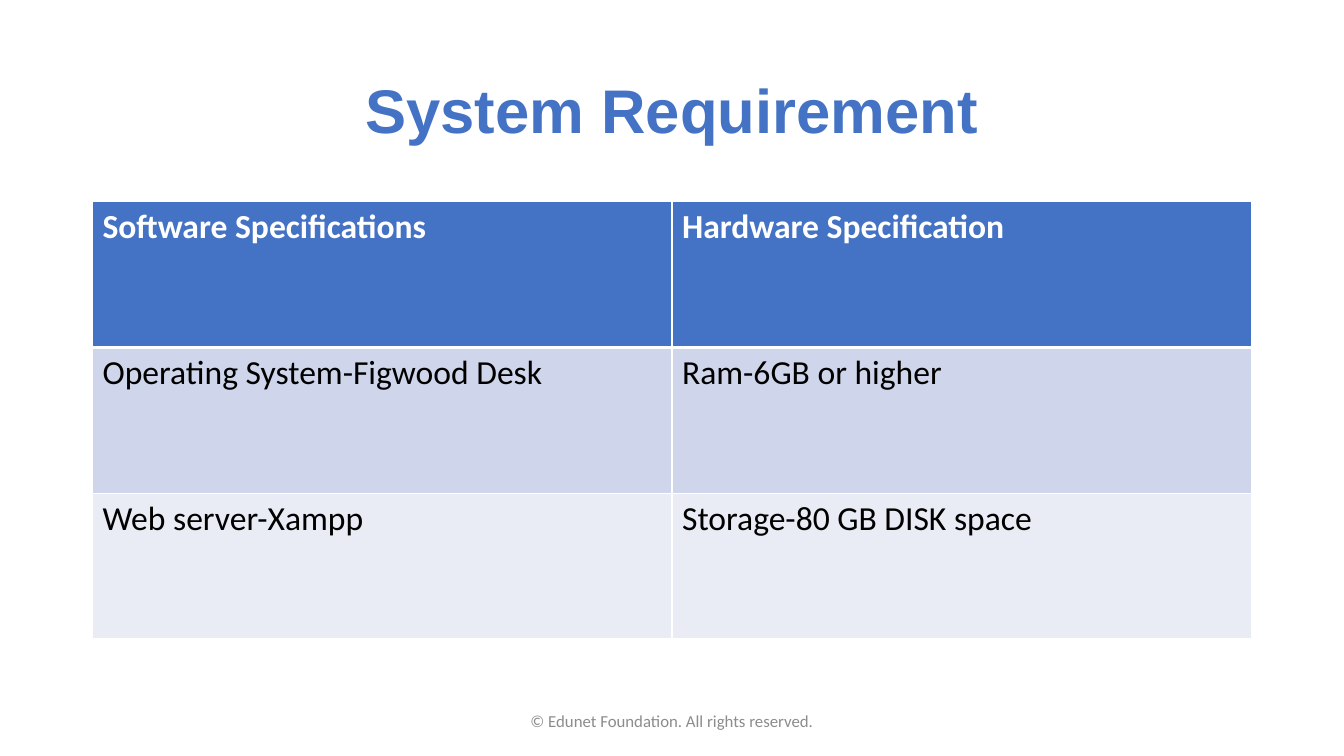
from lxml import etree
from pptx import Presentation
from pptx import util as u
from pptx.dml.color import RGBColor
from pptx.enum import text
from pptx.oxml import ns

BLUE = RGBColor(0x44, 0x72, 0xC4)
WHITE = RGBColor(0xFF, 0xFF, 0xFF)
BLACK = RGBColor(0, 0, 0)
GREY = RGBColor(0x8C, 0x8C, 0x8C)
DARK = RGBColor(0xCF, 0xD5, 0xEA)
LIGHT = RGBColor(0xE9, 0xEB, 0xF5)
SPECS = [
    ("Software Specifications", "Hardware Specification"),
    ("Operating System-Figwood Desk", "Ram-6GB or higher"),
    ("Web server-Xampp", "Storage-80 GB DISK space"),
]


def style(par, face, size, color, bold=False):
    """Set the font of a paragraph."""
    font = par.font
    font.name, font.size, font.bold = face, u.Pt(size), bold
    font.color.rgb = color


def border(cell, widths):
    """Draw white cell borders, with widths in points by side."""
    props = cell._tc.get_or_add_tcPr()
    for spot, side in enumerate("LRTB"):
        line = etree.Element(ns.qn(f"a:ln{side}"), w=str(u.Pt(widths.get(side, 1))))
        fill = etree.SubElement(line, ns.qn("a:solidFill"))
        etree.SubElement(fill, ns.qn("a:srgbClr"), val=str(WHITE))
        props.insert(spot, line)


def add_title(slide, left, top, width, height):
    """Place the slide title in the given box."""
    title = slide.shapes.title
    title.left, title.top, title.width, title.height = left, top, width, height
    frame = title.text_frame
    frame.text = "System Requirement"
    frame.vertical_anchor = text.MSO_ANCHOR.MIDDLE
    par = frame.paragraphs[0]
    par.alignment = text.PP_ALIGN.CENTER
    par.line_spacing = 0.9
    style(par, "Arial", 44, BLUE, True)


def add_specs(slide, left, top, width, height):
    """Fill the given box with the table of specifications."""
    frame = slide.shapes.add_table(len(SPECS), len(SPECS[0]), left, top, width, height)
    for row, words in enumerate(SPECS):
        head = row == 0
        fill = BLUE if head else (LIGHT, DARK)[row % 2]
        for col, word in enumerate(words):
            cell = frame.table.cell(row, col)
            cell.text = word
            cell.fill.solid()
            cell.fill.fore_color.rgb = fill
            border(cell, {0: {"B": 3}, 1: {"T": 3}}.get(row, {}))
            style(cell.text_frame.paragraphs[0], "Calibri", 24, WHITE if head else BLACK, head)


def add_footer(slide, left, top, width, height):
    """Place the copyright line in the given box."""
    frame = slide.shapes.add_textbox(left, top, width, height).text_frame
    frame.word_wrap = True
    frame.vertical_anchor = text.MSO_ANCHOR.MIDDLE
    frame.text = "© Edunet Foundation. All rights reserved."
    par = frame.paragraphs[0]
    par.alignment = text.PP_ALIGN.CENTER
    style(par, "Calibri", 12, GREY)


def main():
    """Build and save the slide."""
    deck = Presentation()
    deck.slide_width, deck.slide_height = u.Cm(33.87), u.Cm(19.05)
    slide = deck.slides.add_slide(deck.slide_layouts[5])
    left, width = u.Cm(2.33), u.Cm(29.21)
    add_title(slide, left, u.Cm(1.01), width, u.Cm(3.68))
    add_specs(slide, left, u.Cm(5.08), width, u.Cm(11.02))
    add_footer(slide, u.Cm(11.22), u.Cm(17.66), u.Cm(11.43), u.Cm(1.01))
    deck.save("out.pptx")


if __name__ == "__main__":
    main()
